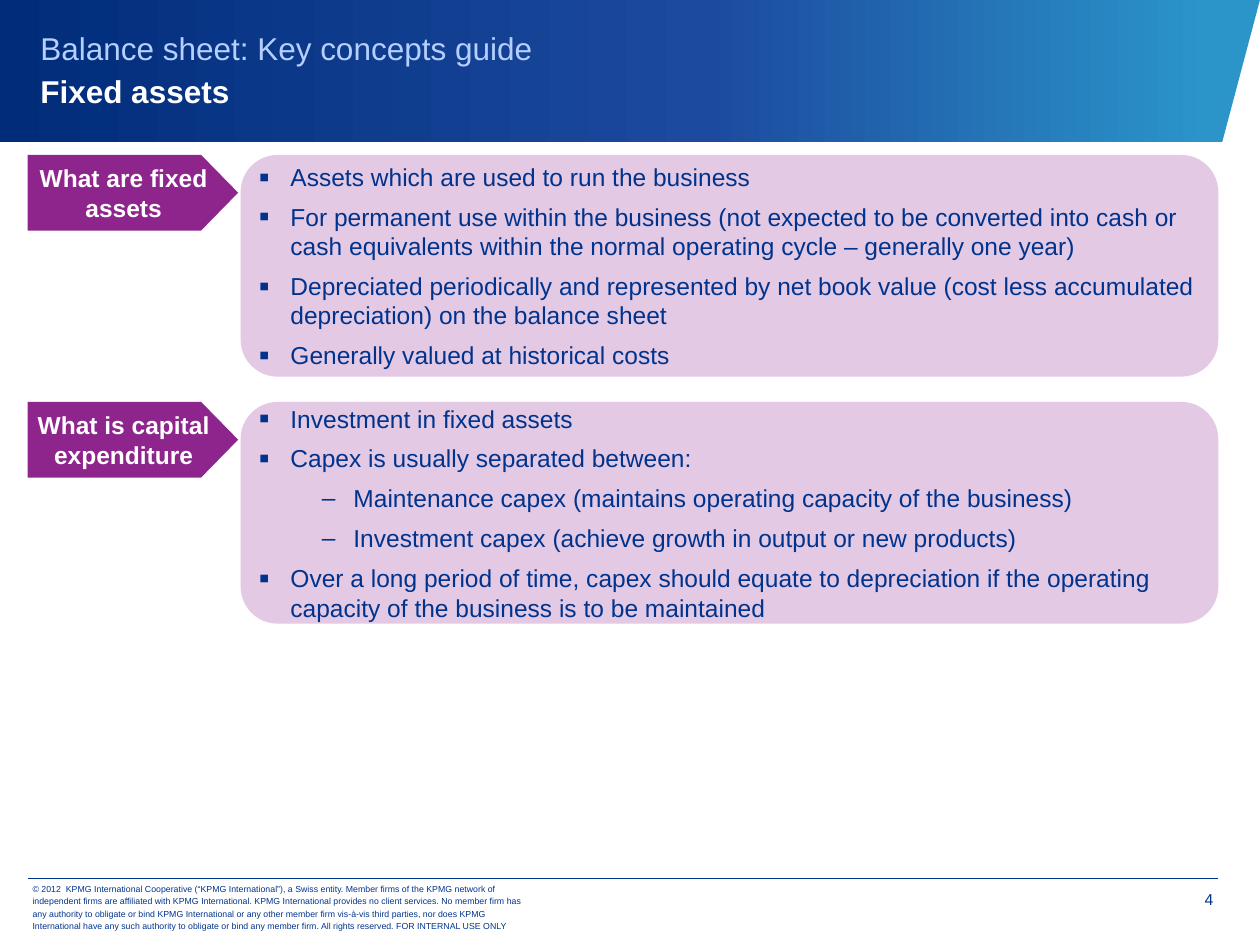
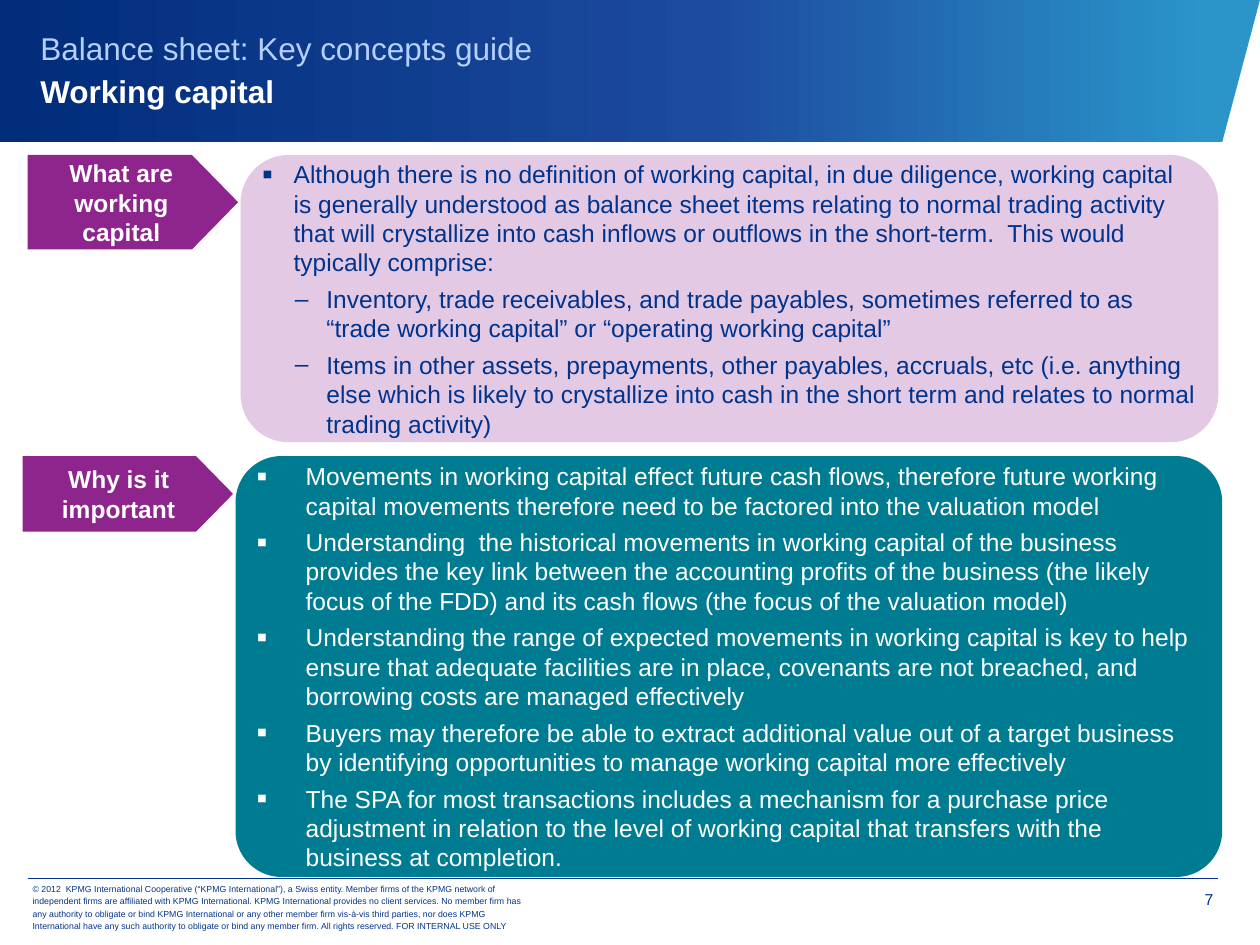
import dataclasses

import pptx
import pptx.dml.color
import pptx.enum.shapes
import pptx.enum.text
import pptx.oxml
import pptx.oxml.ns
import pptx.util

Inches = pptx.util.Inches
Pt = pptx.util.Pt
SHAPE = pptx.enum.shapes.MSO_SHAPE
ANCHOR = pptx.enum.text.MSO_ANCHOR
ALIGN = pptx.enum.text.PP_ALIGN


@dataclasses.dataclass(frozen=True)
class Theme:
    font: str = "Arial"
    navy: str = "00338D"
    white: str = "FFFFFF"
    pale_blue: str = "B5D0FF"
    purple: str = "8E258D"
    lilac: str = "E3C9E3"
    teal: str = "007C92"
    band: tuple = ((4, "2B95CA"), (44, "1C4A9E"), (100, "002C7A"))
    title_size: int = 18
    body_size: int = 14
    number_size: int = 9
    legal_size: int = 5


@dataclasses.dataclass(frozen=True)
class Panel:
    label: str
    items: tuple  # (level, text)
    top: float
    height: float
    label_height: float = 0.6
    left: float = 1.91
    width: float = 7.76
    fill: str = Theme.lilac
    color: str = Theme.navy
    corner: float = 0.167
    gap: int = 3  # points before and after each item
    indents: tuple = (0.25, 0.75)
    hanging: float = 0.25


THEME = Theme()
SECTION = "Balance sheet: Key concepts guide"
LEGAL = (
    "© 2012  KPMG International Cooperative (“KPMG International”), a Swiss entity. "
    "Member firms of the KPMG network of independent firms are affiliated with KPMG "
    "International. KPMG International provides no client services. No member firm has "
    "any authority to obligate or bind KPMG International or any other member firm "
    "vis-à-vis third parties, nor does KPMG International have any such authority to "
    "obligate or bind any member firm. All rights reserved. FOR INTERNAL USE ONLY"
)

FIXED_ASSETS = (
    Panel("What are fixed assets", (
        (0, "Assets which are used to run the business"),
        (0, "For permanent use within the business (not expected to be converted into cash "
            "or cash equivalents within the normal operating cycle – generally one year)"),
        (0, "Depreciated periodically and represented by net book value (cost less "
            "accumulated depreciation) on the balance sheet"),
        (0, "Generally valued at historical costs"),
    ), top=1.23, height=1.76),
    Panel("What is capital expenditure", (
        (0, "Investment in fixed assets"),
        (0, "Capex is usually separated between:"),
        (1, "Maintenance capex (maintains operating capacity of the business)"),
        (1, "Investment capex (achieve growth in output or new products)"),
        (0, "Over a long period of time, capex should equate to depreciation if the "
            "operating capacity of the business is to be maintained"),
    ), top=3.19, height=1.76),
)

WORKING_CAPITAL = (
    Panel("What are working capital", (
        (0, "Although there is no definition of working capital, in due diligence, working "
            "capital is generally understood as balance sheet items relating to normal "
            "trading activity that will crystallize into cash inflows or outflows in the "
            "short-term.  This would typically comprise:"),
        (1, "Inventory, trade receivables, and trade payables, sometimes referred to as "
            "“trade working capital” or “operating working capital”"),
        (1, "Items in other assets, prepayments, other payables, accruals, etc (i.e. "
            "anything else which is likely to crystallize into cash in the short term and "
            "relates to normal trading activity)"),
    ), top=1.23, height=2.28, label_height=0.75, gap=2, indents=(0.25, 0.51)),
    Panel("Why is it important", (
        (0, "Movements in working capital effect future cash flows, therefore future "
            "working capital movements therefore need to be factored into the valuation "
            "model"),
        (0, "Understanding  the historical movements in working capital of the business "
            "provides the key link between the accounting profits of the business (the "
            "likely focus of the FDD) and its cash flows (the focus of the valuation model)"),
        (0, "Understanding the range of expected movements in working capital is key to "
            "help ensure that adequate facilities are in place, covenants are not breached, "
            "and borrowing costs are managed effectively"),
        (0, "Buyers may therefore be able to extract additional value out of a target "
            "business by identifying opportunities to manage working capital more "
            "effectively"),
        (0, "The SPA for most transactions includes a mechanism for a purchase price "
            "adjustment in relation to the level of working capital that transfers with the "
            "business at completion."),
    ), top=3.62, height=3.34, left=1.87, width=7.83, fill=THEME.teal, color=THEME.white,
        corner=0.109, gap=2, indents=(0.39,), hanging=0.39),
)


def rgb(color):
    return pptx.dml.color.RGBColor.from_string(color)


def xml(markup):
    head, tail = markup.split(" ", 1) if " " in markup else (markup[:-2], "/>")
    return pptx.oxml.parse_xml(f"{head} {pptx.oxml.ns.nsdecls('a')} {tail}")


def style(item, size, color, bold=False):
    """Format the font of a run or paragraph."""
    font = item.font
    font.name, font.size, font.bold = THEME.font, Pt(size), bold
    font.color.rgb = rgb(color)


def set_insets(tf, left, top, right, bottom):
    tf.margin_left, tf.margin_top = Inches(left), Inches(top)
    tf.margin_right, tf.margin_bottom = Inches(right), Inches(bottom)


def add_block(s, preset, left, top, width, height, fill, adjustment):
    """Add a flat filled shape whose text is centred vertically."""
    sp = s.shapes.add_shape(preset, Inches(left), Inches(top), Inches(width), Inches(height))
    sp.adjustments[0] = adjustment
    sp.shadow.inherit = False
    sp.fill.solid()
    sp.fill.fore_color.rgb = rgb(fill)
    sp.line.fill.background()
    set_insets(sp.text_frame, 0.06, 0.06, 0.06, 0.06)
    sp.text_frame.vertical_anchor = ANCHOR.MIDDLE
    return sp


def add_text(s, left, top, width, height, text, size):
    sp = s.shapes.add_textbox(Inches(left), Inches(top), Inches(width), Inches(height))
    tf = sp.text_frame
    tf.word_wrap = True
    tf.text = text
    style(tf.paragraphs[0].runs[0], size, THEME.navy)
    return tf


def add_band(s):
    builder = s.shapes.build_freeform(0, Inches(1.13))
    corners = ((9.7, 1.13), (10, 0), (0, 0))
    builder.add_line_segments([(Inches(x), Inches(y)) for x, y in corners])
    sp = builder.convert_to_shape()
    sp.shadow.inherit = False
    sp.line.fill.background()
    sp.fill.gradient()
    sp.fill.gradient_angle = 180
    stops = sp._element.spPr.find(".//" + pptx.oxml.ns.qn("a:gsLst"))
    for stop in list(stops):
        stops.remove(stop)
    for position, color in THEME.band:
        stops.append(xml(f'<a:gs pos="{position * 1000}"><a:srgbClr val="{color}"/></a:gs>'))
    # Keep the band behind the title placeholder
    s.shapes._spTree.insert(2, sp._element)


def add_title(s, topic):
    sp = s.shapes.title
    sp.left, sp.top, sp.width, sp.height = Inches(0.22), Inches(0.13), Inches(9.35), Inches(0.87)
    tf = sp.text_frame
    tf.text = f"{SECTION}\v{topic}"
    tf.vertical_anchor = ANCHOR.TOP
    tf.auto_size = pptx.enum.text.MSO_AUTO_SIZE.NONE
    p = tf.paragraphs[0]
    p.alignment = ALIGN.LEFT
    p.line_spacing = Pt(25)
    style(p.runs[0], THEME.title_size, THEME.pale_blue)
    style(p.runs[1], THEME.title_size, THEME.white, bold=True)


def add_footer(s, number):
    rule = s.shapes.add_connector(pptx.enum.shapes.MSO_CONNECTOR.STRAIGHT,
                                  Inches(0.22), Inches(6.97), Inches(9.67), Inches(6.97))
    rule.line.color.rgb = rgb(THEME.navy)
    rule.line.width = Pt(0.25)
    rule._element.spPr.append(xml("<a:effectLst/>"))

    tf = add_text(s, 9.08, 6.98, 0.55, 0.31, str(number), THEME.number_size)
    set_insets(tf, 0.08, 0.08, 0, 0)
    tf.paragraphs[0].alignment = ALIGN.RIGHT

    tf = add_text(s, 0.16, 7.02, 4.15, 0.35, LEGAL, THEME.legal_size)
    tf.vertical_anchor = ANCHOR.MIDDLE
    tf.paragraphs[0].line_spacing = Pt(7)


def add_bullet(p, level, panel):
    pPr = p._p.get_or_add_pPr()
    pPr.set("marL", str(Inches(panel.indents[level])))
    pPr.set("indent", str(-Inches(panel.hanging)))
    size, mark = ((125, "▪"), (100, "–"))[level]
    for markup in (f'<a:buClr><a:srgbClr val="{panel.color}"/></a:buClr>',
                   f'<a:buSzPct val="{size * 1000}"/>',
                   f'<a:buFont typeface="{THEME.font}"/>',
                   f'<a:buChar char="{mark}"/>'):
        pPr.append(xml(markup) if not markup.startswith("<a:buClr>") else color_bullet(panel.color))


def color_bullet(color):
    element = xml("<a:buClr/>")
    element.append(xml(f'<a:srgbClr val="{color}"/>'))
    return element


def add_panel(s, panel):
    """Add a rounded box of bullets with its arrow-shaped label."""
    sp = add_block(s, SHAPE.ROUNDED_RECTANGLE, panel.left, panel.top,
                   panel.width, panel.height, panel.fill, panel.corner)
    tf = sp.text_frame
    tf.text = "\n".join(text for _, text in panel.items)
    for i, (p, (level, _)) in enumerate(zip(tf.paragraphs, panel.items)):
        add_bullet(p, level, panel)
        p.level = level
        p.alignment = ALIGN.LEFT
        p.space_before = Pt(panel.gap if i else 0)
        p.space_after = Pt(panel.gap)
        style(p.runs[0], THEME.body_size, panel.color)

    label = add_block(s, SHAPE.PENTAGON, panel.left - 1.69, panel.top,
                      1.67, panel.label_height, THEME.purple, 0.489)
    label.text_frame.text = panel.label
    p = label.text_frame.paragraphs[0]
    p.alignment = ALIGN.CENTER
    style(p.runs[0], THEME.body_size, THEME.white, bold=True)


def add_slide(prs, topic, number, panels):
    s = prs.slides.add_slide(prs.slide_layouts[5])
    add_band(s)
    add_title(s, topic)
    add_footer(s, number)
    for panel in panels:
        add_panel(s, panel)


def main():
    prs = pptx.Presentation()
    prs.slide_width, prs.slide_height = Inches(10), Inches(7.5)
    add_slide(prs, "Fixed assets", 4, FIXED_ASSETS)
    add_slide(prs, "Working capital", 7, WORKING_CAPITAL)
    prs.save("out.pptx")


if __name__ == "__main__":
    main()
